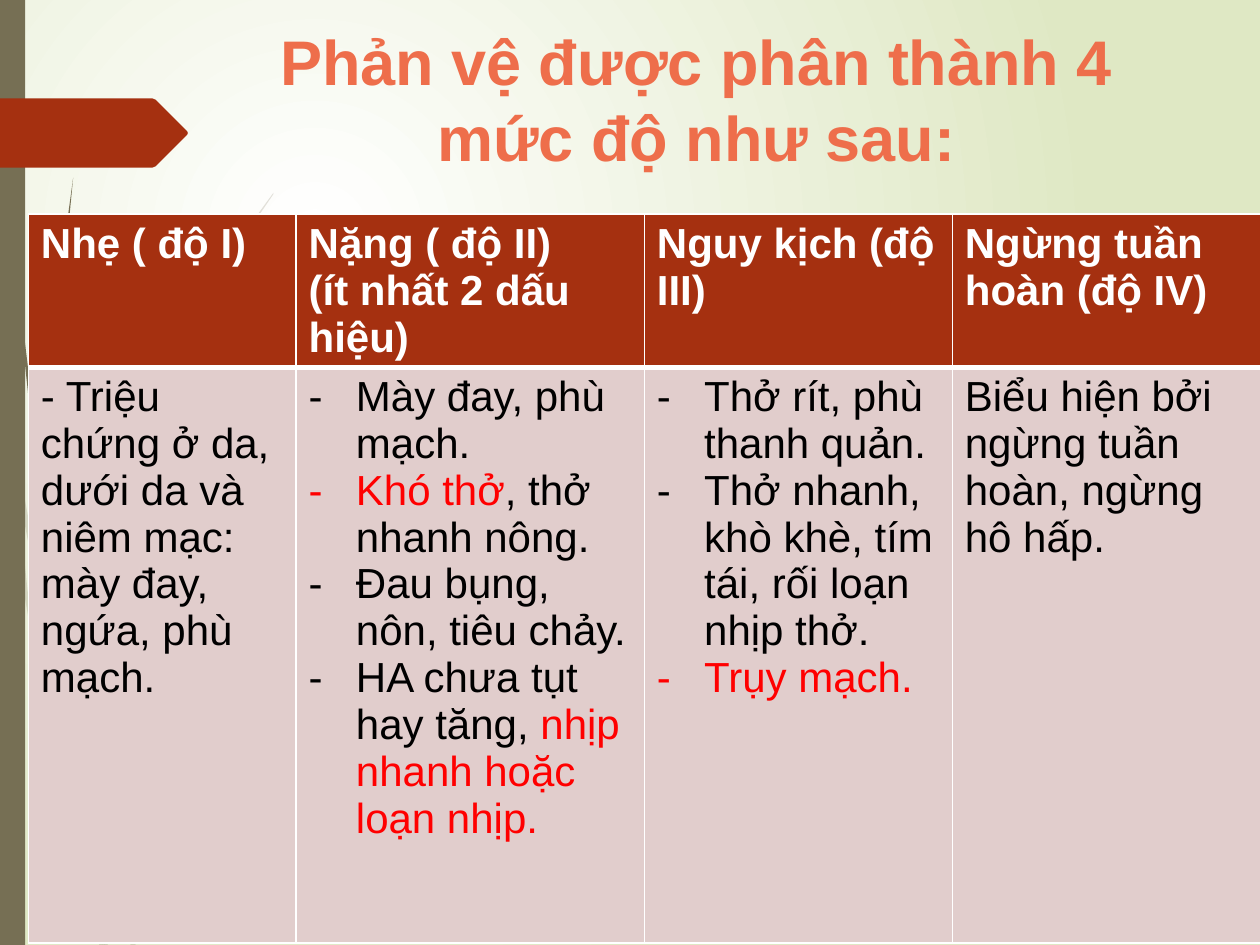
from lxml import etree
from pptx import Presentation, util as u
from pptx.dml.color import RGBColor
from pptx.enum import shapes, text
from pptx.oxml import ns

RUST = RGBColor(0xA5, 0x30, 0x10)
OLIVE = RGBColor(0x76, 0x6F, 0x54)
CORAL = RGBColor(0xEE, 0x6E, 0x4B)
PINK = RGBColor(0xE1, 0xCD, 0xCC)
LIME = RGBColor(0xDF, 0xE8, 0xC4)
RED = RGBColor(0xFF, 0, 0)
BLACK = RGBColor(0, 0, 0)
WHITE = RGBColor(0xFF, 0xFF, 0xFF)

FAINT_STEMS = [
    [(5.8, 252), (4.3, 232), (0, 203), (0, 215.3), (5, 247.7)],
    [(28.8, 375.8), (42.5, 431.3), (42.5, 421.9), (31, 374.4), (7.2, 248.4), (8.6, 270.7)],
    [(43.9, 429), (43.9, 439), (61.2, 499.7), (74.9, 540.7), (77.8, 540.7), (63.4, 498), (46, 437)],
    [(59.8, 540.7), (61.9, 540.7), (52.6, 511.9)],
    [(46.1, 491.8), (34.6, 445.7), (15.8, 337.7), (8.6, 270.7), (5.8, 252), (13.7, 338.4),
     (32.4, 447.1), (46.1, 499), (50.4, 514.1), (49.7, 509)],
    [(41.8, 431.3), (43.2, 465.1), (46.1, 491.8), (52.6, 511.9), (45.4, 465.1), (43.9, 439.2)],
    [(43.9, 420), (54.7, 332.6), (79.9, 251), (114.5, 176), (134.6, 142.6), (156.2, 111),
     (156.2, 110.2), (144.7, 126), (133.9, 142), (113.8, 175.7), (79.2, 250.6), (54, 332),
     (42.5, 420), (43.9, 429)],
    [(50.4, 514.1), (56.9, 540.7), (59, 540.7)],
    [(43.9, 437.8), (43.9, 429.1), (42.5, 421.9), (41.8, 431.3)],
    [(48.2, 498.2), (46.8, 491.8), (50.4, 514.1), (59, 540.7), (59.8, 540.7), (52.6, 511.9)],
]
STEMS = [
    [(3.6, 79), (10, 168), (19.4, 256), (33.8, 346), (32.4, 326), (21.6, 256), (10.8, 167),
     (4.3, 78), (2.2, 0), (1.4, 0)],
    [(52.6, 426.2), (63.4, 464.4), (63.4, 455.8), (55.4, 424.8), (36, 339.8), (38.2, 363.6)],
    [(65.5, 461.5), (65.5, 472.3), (78.5, 509.8), (90.7, 539.3), (93.6, 539.3), (81.4, 508.3),
     (67.7, 467.3)],
    [(65.5, 497.5), (58.3, 473), (43.2, 400.3), (38.2, 363.6), (33.8, 343.4), (40.3, 401),
     (55.4, 474.5), (66.2, 509.8), (69.8, 519.8), (69.1, 516.2)],
    [(36, 340), (31.7, 251), (34.6, 176), (41.8, 101.5), (36.7, 139), (33.8, 176), (31, 251),
     (32.4, 323), (35.3, 340)],
    [(79.2, 539.3), (81.4, 539.3), (72, 517.7)],
    [(33.8, 343.4), (38.2, 363.6), (36, 339.8), (32.4, 323.3), (32.4, 326.2)],
    [(65.5, 455.8), (74.2, 397.4), (94.3, 342.7), (121.7, 292.3), (146.2, 258.5), (155.5, 247.7),
     (146.2, 257.8), (121, 291.6), (92.9, 341.3), (72.7, 396.7), (63.4, 454.3), (65.5, 461.5)],
    [(69.8, 519.8), (75.6, 539.3), (77.8, 539.3)],
    [(63.4, 464.4), (65.5, 497.5), (72, 517.7), (65.5, 472.3), (64.8, 468.7)],
    [(63.4, 454.3), (63.4, 464.4), (65.5, 472.3), (65.5, 461.5)],
    [(65.5, 497.5), (69.8, 519.8), (77.8, 539.3), (79.2, 539.3), (72, 517.7), (69.1, 508.3)],
]
ARROW = [(0, 56.2), (87, 56.2), (89, 57), (107, 75), (107.3, 76), (107, 77), (89, 95),
         (87, 95.8), (0, 95.8)]

HEADERS = [
    ["Nhẹ ( độ I)"],
    ["Nặng ( độ II)", "(ít nhất 2 dấu hiệu)"],
    ["Nguy kịch (độ III)"],
    ["Ngừng tuần hoàn (độ IV)"],
]
SIGNS = [
    [[("- Triệu chứng ở da, dưới da và niêm mạc: mày đay, ngứa, phù mạch.", BLACK)]],
    [
        [("Mày đay, phù mạch.", BLACK)],
        [("Khó thở", RED), (", thở nhanh nông.", BLACK)],
        [("Đau bụng, nôn, tiêu chảy.", BLACK)],
        [("HA chưa tụt hay tăng, ", BLACK), ("nhịp nhanh hoặc loạn nhịp.", RED)],
    ],
    [
        [("Thở rít, phù thanh quản.", BLACK)],
        [("Thở nhanh, khò khè, tím tái, rối loạn nhịp thở.", BLACK)],
        [("Trụy mạch.", RED)],
    ],
    [[("Biểu hiện bởi ngừng tuần hoàn, ngừng hô hấp.", BLACK)]],
]


class SlideBuilder:
    """Draws styled elements on one slide, with lengths in points."""

    def __init__(self, presentation, font="Arial"):
        self.font = font
        self.slide = presentation.slides.add_slide(presentation.slide_layouts[5])

    def background(self, inner, outer):
        fill = self.slide.background.fill
        fill.gradient()
        for stop, color, position in zip(fill.gradient_stops, (inner, outer), (0, 1)):
            stop.color.rgb = color
            stop.position = position
        linear = next(self.slide.element.iter(ns.qn("a:lin")))
        radial = etree.Element(ns.qn("a:path"), {"path": "circle"})
        etree.SubElement(radial, ns.qn("a:fillToRect"),
                         {"l": "50000", "t": "50000", "r": "100000", "b": "100000"})
        linear.getparent().replace(linear, radial)

    def paint(self, shape, color, alpha=None):
        shape.shadow.inherit = False
        shape.fill.solid()
        shape.fill.fore_color.rgb = color
        shape.line.fill.background()
        if alpha:
            rgb = next(shape.element.spPr.iter(ns.qn("a:srgbClr")))
            etree.SubElement(rgb, ns.qn("a:alpha"), {"val": str(alpha * 1000)})

    def rectangle(self, left, top, width, height, color):
        box = [u.Pt(value) for value in (left, top, width, height)]
        self.paint(self.slide.shapes.add_shape(shapes.MSO_SHAPE.RECTANGLE, *box), color)

    def outline(self, points, color, alpha=None):
        start, *rest = [(u.Pt(x), u.Pt(y)) for x, y in points]
        builder = self.slide.shapes.build_freeform(*start)
        builder.add_line_segments(rest)
        self.paint(builder.convert_to_shape(), color, alpha)

    def style(self, paragraph, size, color, bold):
        paragraph.font.name = self.font
        paragraph.font.size = u.Pt(size)
        paragraph.font.bold = bold
        if color is not None:
            paragraph.font.color.rgb = color

    def title(self, words, left, top, width, height):
        shape = self.slide.shapes.title
        shape.left, shape.top, shape.width, shape.height = (
            u.Pt(value) for value in (left, top, width, height))
        frame = shape.text_frame
        frame.text = words
        frame.word_wrap = True
        frame.auto_size = text.MSO_AUTO_SIZE.NONE
        frame.vertical_anchor = text.MSO_ANCHOR.TOP
        paragraph = frame.paragraphs[0]
        paragraph.alignment = text.PP_ALIGN.CENTER
        self.style(paragraph, 36, CORAL, True)

    def cell(self, cell, paragraphs, fill, bold=False, bottom=1):
        properties = cell._tc.get_or_add_tcPr()
        for side, width in (("L", 1), ("R", 1), ("T", 1), ("B", bottom)):
            line = etree.SubElement(properties, ns.qn(f"a:ln{side}"), {"w": str(u.Pt(width))})
            solid = etree.SubElement(line, ns.qn("a:solidFill"))
            etree.SubElement(solid, ns.qn("a:srgbClr"), {"val": str(WHITE)})
        cell.fill.solid()
        cell.fill.fore_color.rgb = fill
        frame = cell.text_frame
        for index, runs in enumerate(paragraphs):
            paragraph = frame.add_paragraph() if index else frame.paragraphs[0]
            if len(paragraphs) > 1 and not bold:
                self.bullet(paragraph)
            self.style(paragraph, 24, runs[0][1] if len(runs) == 1 else None, bold)
            for words, color in runs:
                run = paragraph.add_run()
                run.text = words
                if len(runs) > 1:
                    run.font.color.rgb = color

    def bullet(self, paragraph, indent=27):
        properties = paragraph._p.get_or_add_pPr()
        properties.set("marL", str(u.Pt(indent)))
        properties.set("indent", str(-u.Pt(indent)))
        etree.SubElement(properties, ns.qn("a:buFont"), {"typeface": self.font})
        etree.SubElement(properties, ns.qn("a:buChar"), {"char": "-"})

    def table(self, left, top, widths, heights, headers, bodies):
        box = [u.Pt(value) for value in (left, top, sum(widths), sum(heights))]
        table = self.slide.shapes.add_table(len(heights), len(widths), *box).table
        table.horz_banding = False
        for column, width in zip(table.columns, widths):
            column.width = u.Pt(width)
        for row, height in zip(table.rows, heights):
            row.height = u.Pt(height)
        for index, (header, body) in enumerate(zip(headers, bodies)):
            lines = [[(words, WHITE)] for words in header]
            self.cell(table.cell(0, index), lines, RUST, bold=True, bottom=3)
            self.cell(table.cell(1, index), body, PINK)


def main():
    presentation = Presentation()
    presentation.slide_width, presentation.slide_height = u.Pt(720), u.Pt(540)
    builder = SlideBuilder(presentation)
    builder.background(WHITE, LIME)
    for points in FAINT_STEMS:
        builder.outline(points, OLIVE, alpha=20)
    for points in STEMS:
        builder.outline(points, OLIVE)
    builder.rectangle(0, 0, 14.4, 540, OLIVE)
    builder.outline(ARROW, RUST)
    builder.title("Phản vệ được phân thành 4 mức độ như sau:", 115.7, 9.5, 564.5, 101)
    builder.table(16.2, 122.4, [153, 199, 176, 176], [60.5, 329], HEADERS, SIGNS)
    presentation.save("out.pptx")


if __name__ == "__main__":
    main()
